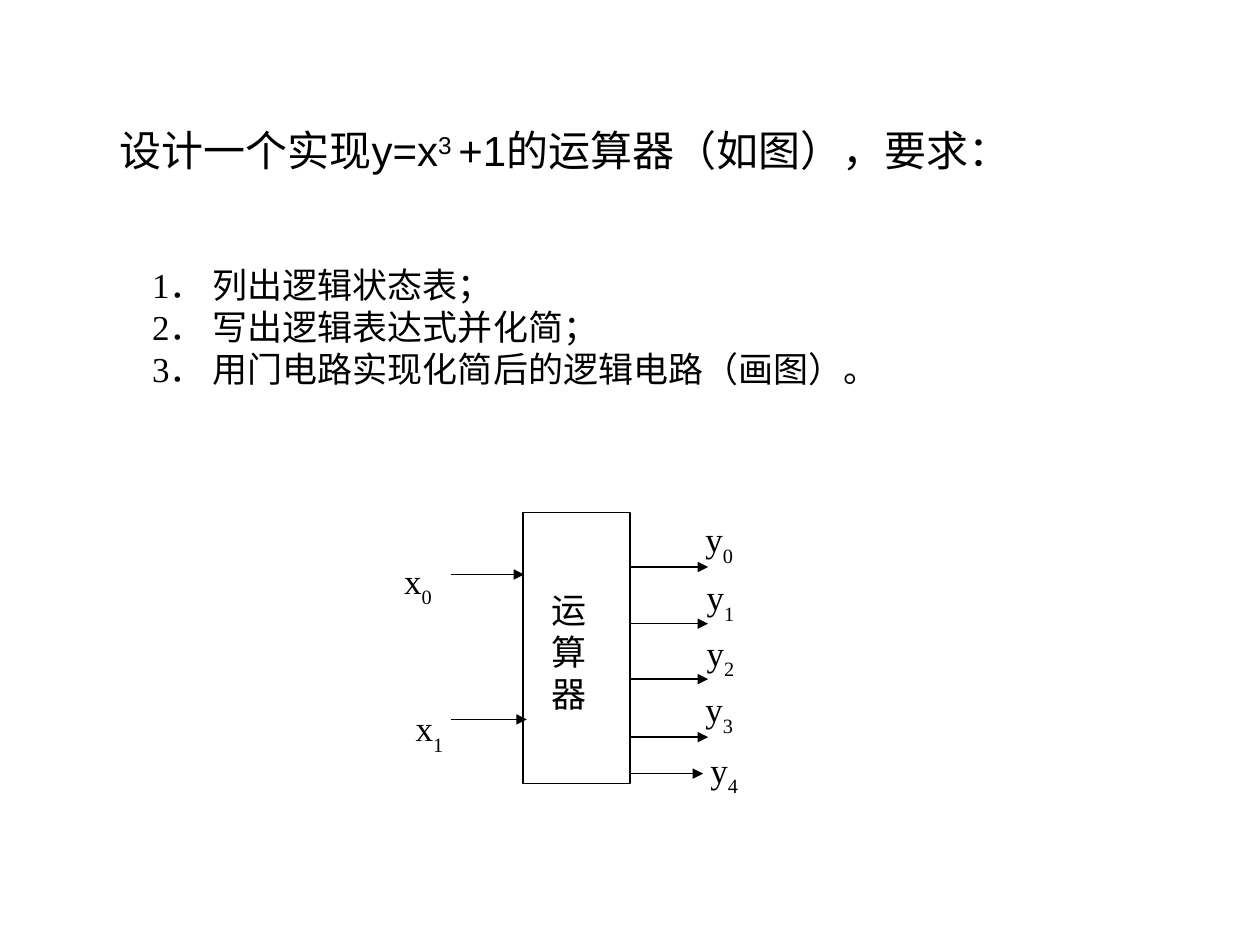
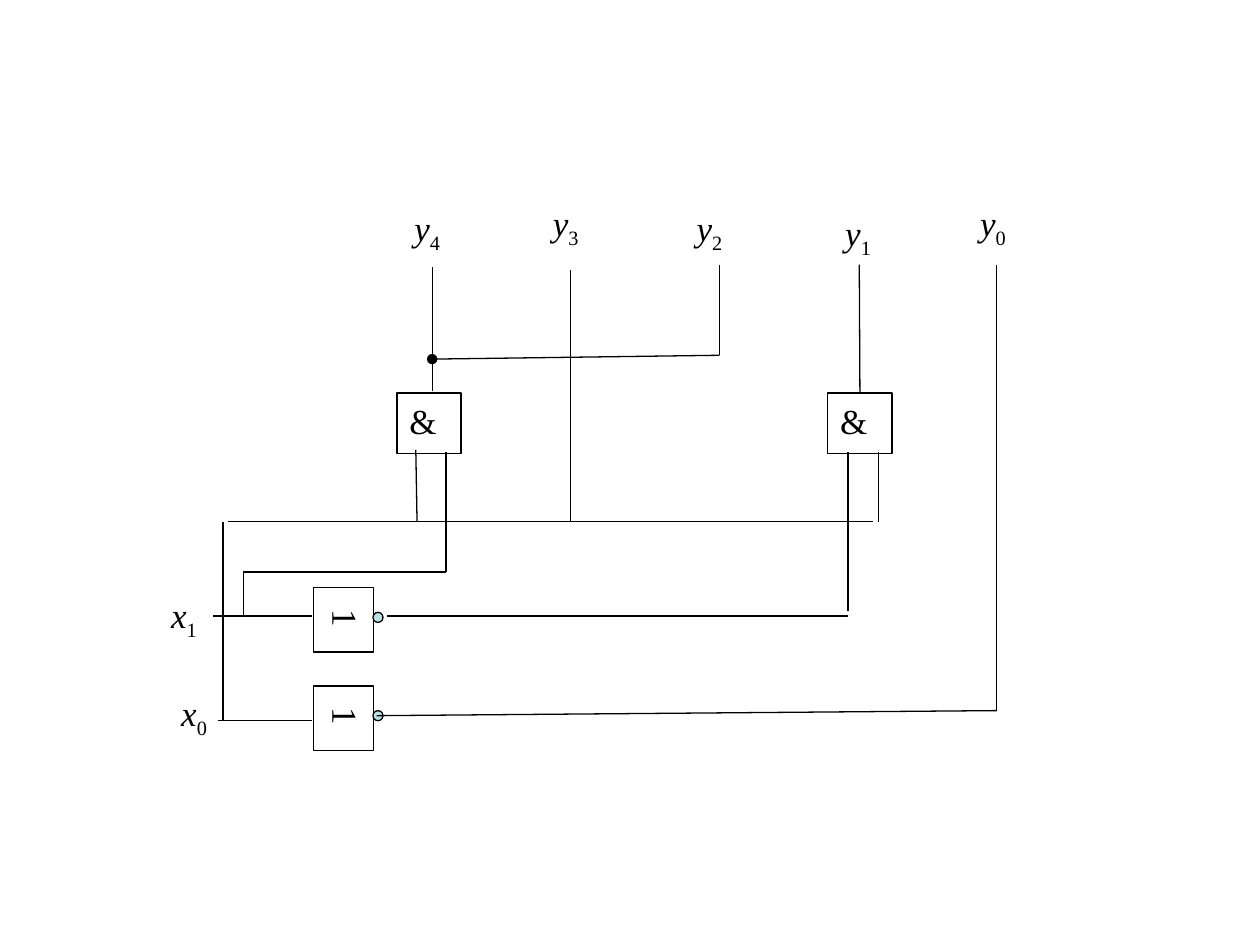
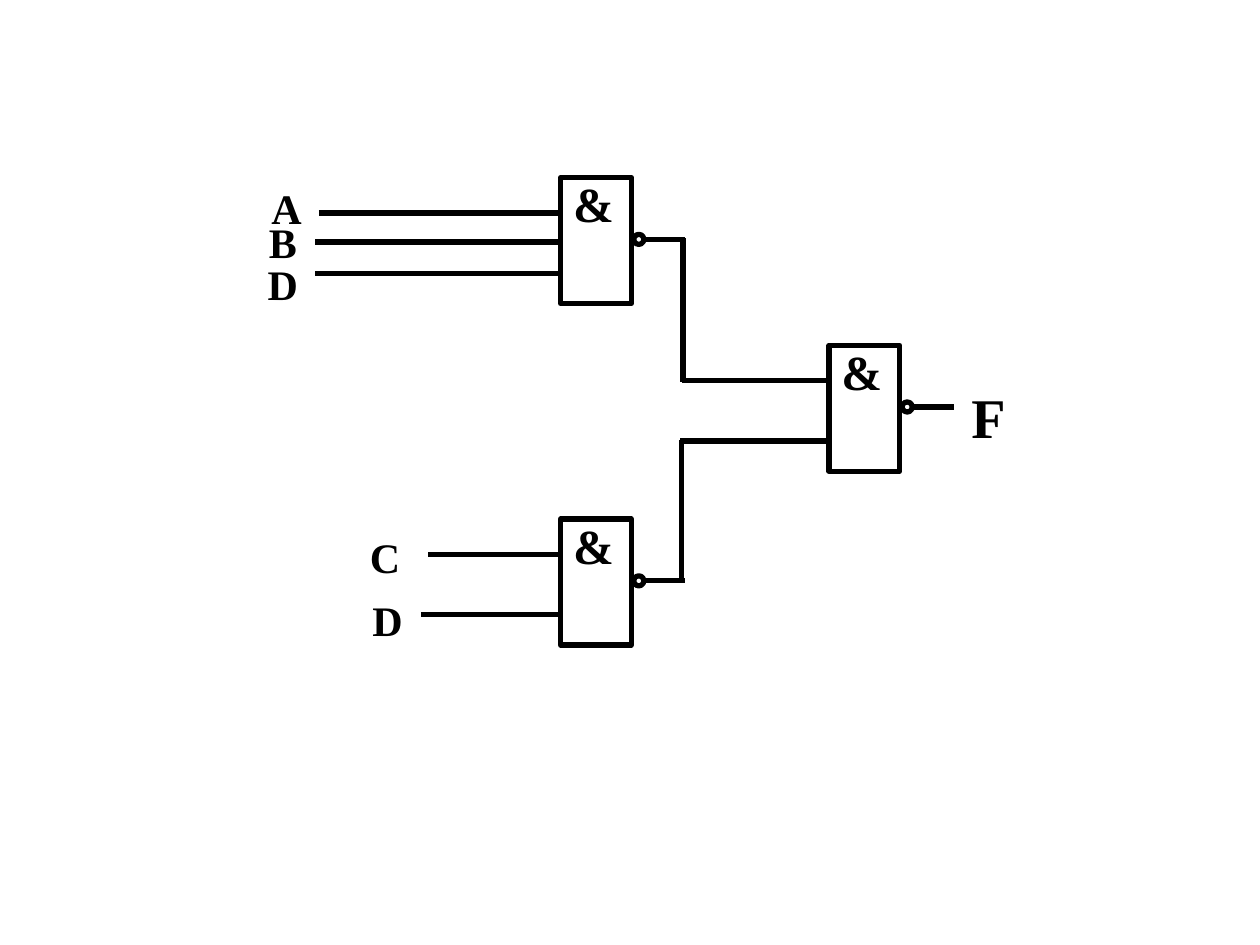
from dataclasses import dataclass

from lxml.etree import SubElement
from pptx import Presentation
from pptx.dml.color import RGBColor
from pptx.enum.shapes import MSO_CONNECTOR, MSO_SHAPE
from pptx.enum.text import MSO_ANCHOR, PP_ALIGN
from pptx.oxml.ns import qn
from pptx.util import Inches, Pt

BLACK = RGBColor(0x00, 0x00, 0x00)
WHITE = RGBColor(0xFF, 0xFF, 0xFF)
PALE_TEAL = RGBColor(0xBB, 0xE0, 0xE3)
SERIF = "Times New Roman"
SANS = "Arial"
THIN, THICK = 0.75, 3


@dataclass
class Region:
    """A part of a page whose contents are placed from its left top corner."""

    page: object
    left: float
    top: float

    def place(self, x, y):
        """Return the page position of a point of the region."""
        return Inches(self.left + x), Inches(self.top + y)

    def wire(self, start, end, weight=THIN, head=None, tail=None):
        """Draw a straight line with optional end marks."""
        line = self.page.shapes.add_connector(
            MSO_CONNECTOR.STRAIGHT, *self.place(*start), *self.place(*end))
        line.line.color.rgb = BLACK
        line.line.width = Pt(weight)
        outline = line.line._get_or_add_ln()
        for tag, mark in (("a:headEnd", head), ("a:tailEnd", tail)):
            if mark:
                SubElement(outline, qn(tag), type=mark)
        SubElement(line._element.spPr, qn("a:effectLst"))
        return line

    def block(self, kind, x, y, width, height, fill=None, weight=THIN):
        """Draw an outlined shape, hollow unless a fill is given."""
        shape = self.page.shapes.add_shape(
            kind, *self.place(x, y), Inches(width), Inches(height))
        shape.shadow.inherit = False
        if fill is None:
            shape.fill.background()
        else:
            shape.fill.solid()
            shape.fill.fore_color.rgb = fill
        shape.line.color.rgb = BLACK
        shape.line.width = Pt(weight)
        return shape

    def text(self, x, y, width, height, lines, **style):
        """Add a text box with one paragraph for each line."""
        box = self.page.shapes.add_textbox(
            *self.place(x, y), Inches(width), Inches(height))
        write(box.text_frame, lines, **style)
        return box

    def symbol(self, x, y, letter, index, italic=False, drop=-30):
        """Add a variable name with a subscript."""
        box = self.text(x, y, 0.7, 0.6, [""])
        add_spans(box.text_frame.paragraphs[0], [(letter, 0), (index, drop)])
        box.text_frame.paragraphs[0].runs[0].font.italic = italic


def write(frame, lines, size=20, font=SERIF, bold=False,
          align=PP_ALIGN.LEFT, anchor=MSO_ANCHOR.TOP):
    """Fill a text frame with evenly styled paragraphs."""
    frame.word_wrap = True
    frame.vertical_anchor = anchor
    frame.text = "\n".join(lines)
    for para in frame.paragraphs:
        para.alignment = align
        para.font.size = Pt(size)
        para.font.name = font
        para.font.bold = bold
        para.font.color.rgb = BLACK


def add_spans(para, parts):
    """Add runs, each with a baseline shift in percent."""
    for words, shift in parts:
        span = para.add_run()
        span.text = words
        if shift:
            span._r.get_or_add_rPr().set("baseline", str(shift * 1000))


def set_margins(frame, left, top):
    """Set the text margins of a block."""
    frame.margin_left, frame.margin_top = Inches(left), Inches(top)


def task_text(page, left, top):
    """Write the task and its three requirements."""
    region = Region(page, left, top)
    title = region.text(0, 0, 7.48, 0.5, [""], size=24, font=SANS,
                        anchor=MSO_ANCHOR.MIDDLE)
    add_spans(title.text_frame.paragraphs[0],
              [("设计一个实现y=x", 0), ("3 ", 30), ("+1的运算器（如图），要求：", 0)])
    region.text(0.26, 1.1, 6.2, 1.1, [
        "1． 列出逻辑状态表；",
        "2． 写出逻辑表达式并化简；",
        "3． 用门电路实现化简后的逻辑电路（画图）。",
    ], anchor=MSO_ANCHOR.MIDDLE)


def calculator_diagram(page, left, top):
    """Draw the calculator block with two inputs and five outputs."""
    region = Region(page, left, top)
    block = region.block(MSO_SHAPE.RECTANGLE, 1.15, 0.07, 0.85, 2.15, WHITE)
    write(block.text_frame, "运算器")
    set_margins(block.text_frame, 0.23, 0.6)
    inputs = [(0.56, 1.16, 0.11, 0.39), (1.71, 1.18, 0.2, 1.56)]
    for index, (y, end, label_x, label_y) in enumerate(inputs):
        region.wire((0.58, y), (end, y), tail="triangle")
        region.symbol(label_x, label_y, "x", str(index))
    outputs = [(0.5, 2.62, 2.5, 0.06), (0.95, 2.62, 2.51, 0.52),
               (1.39, 2.62, 2.51, 0.96), (1.85, 2.62, 2.5, 1.41),
               (2.14, 2.58, 2.54, 1.89)]
    for index, (y, end, label_x, label_y) in enumerate(outputs):
        region.wire((2, y), (end, y), tail="triangle")
        region.symbol(label_x, label_y, "y", str(index))


def small_gate(region, x, y, sign, margin=0.1, turn=0):
    """Draw a small gate with its sign inside."""
    gate = region.block(MSO_SHAPE.RECTANGLE, x, y, 0.51, 0.48, WHITE)
    gate.rotation = turn
    write(gate.text_frame, [sign])
    set_margins(gate.text_frame, margin, 0.05)
    return gate


def inverter(region, x, y):
    """Draw a turned inverter with its output bubble."""
    small_gate(region, x, y, "1", margin=0.17, turn=90)
    region.block(MSO_SHAPE.OVAL, x + 0.49, y + 0.18, 0.08, 0.08, PALE_TEAL)


def cube_circuit(page, left, top):
    """Draw the gate circuit from x1 and x0 up to y4 to y0."""
    region = Region(page, left, top)
    labels = [("x", "0", 0.34, 4.44), ("x", "1", 0.26, 3.66),
              ("y", "4", 2.19, 0.59), ("y", "3", 3.29, 0.55),
              ("y", "2", 4.43, 0.59), ("y", "1", 5.61, 0.63),
              ("y", "0", 6.68, 0.55)]
    for letter, index, x, y in labels:
        region.symbol(x, y, letter, index, italic=True, drop=-25)
    small_gate(region, 2.15, 2.12, "&")
    right_gate = small_gate(region, 5.57, 2.12, "&")
    for y in (3.68, 4.46):
        inverter(region, 1.47, y)

    region.wire((5.82, 1.1), (5.82, 2.12)).end_connect(right_gate, 0)
    region.wire((2.43, 1.85), (4.71, 1.82), head="oval")
    wires = [
        ((2.43, 1.12), (2.43, 2.1)), ((4.71, 1.82), (4.71, 1.1)),
        ((3.53, 1.14), (3.53, 3.14)), ((6.91, 4.64), (6.91, 1.1)),
        ((2.3, 2.57), (2.31, 3.14)), ((2.54, 3.54), (2.54, 2.59)),
        ((5.73, 3.85), (5.73, 2.59)), ((5.97, 2.59), (5.97, 3.14)),
        ((0.69, 3.89), (1.48, 3.89)), ((0.73, 4.72), (1.48, 4.72)),
        ((2.07, 3.89), (5.73, 3.89)), ((1.99, 4.68), (6.91, 4.64)),
        ((0.93, 3.89), (0.93, 3.54)), ((0.93, 3.54), (2.54, 3.54)),
        ((0.77, 4.72), (0.77, 3.14)), ((0.81, 3.14), (5.93, 3.14)),
    ]
    for start, end in wires:
        region.wire(start, end)


def nand_gate(region, x, y, inputs):
    """Draw a NAND gate with its output and the given input wires."""
    region.block(MSO_SHAPE.RECTANGLE, x, y, 0.56, 1, weight=THICK)
    region.text(x, y - 0.08, 0.67, 0.57, ["&"], size=28, bold=True)
    region.block(MSO_SHAPE.OVAL, x + 0.58, y + 0.45, 0.08, 0.08, weight=THICK)
    region.wire((x + 0.66, y + 0.49), (x + 0.99, y + 0.49), THICK)
    for start, drop in inputs:
        region.wire((start, y + drop), (x, y + drop), THICK)


def nand_circuit(page, left, top):
    """Draw the two-level NAND circuit with output F."""
    region = Region(page, left, top)
    nand_gate(region, 2.45, 0.41, [(0.53, 0.28), (0.5, 0.51), (0.5, 0.76)])
    nand_gate(region, 2.45, 3.12, [(1.4, 0.28), (1.34, 0.76)])
    nand_gate(region, 4.58, 1.74, [(3.41, 0.28), (3.4, 0.76)])
    region.wire((3.42, 0.89), (3.42, 2.03), THICK)
    region.wire((3.41, 2.49), (3.41, 3.63), THICK)
    letters = [("A", 0.03, 0.4, 24), ("B", 0, 0.67, 24), ("D", 0, 1, 24),
               ("C", 0.81, 3.17, 24), ("D", 0.83, 3.67, 24),
               ("F", 5.6, 1.97, 32)]
    for letter, x, y, size in letters:
        region.text(x, y, 0.49, size / 48, [letter], size=size, bold=True,
                    align=PP_ALIGN.CENTER, anchor=MSO_ANCHOR.MIDDLE)


def main():
    """Build the deck."""
    deck = Presentation()
    deck.slide_width, deck.slide_height = Inches(10), Inches(7.5)
    task, cube, nand = [deck.slides.add_slide(deck.slide_layouts[6])
                        for _ in range(3)]
    task_text(task, 0.85, 0.94)
    calculator_diagram(task, 3, 4)
    cube_circuit(cube, 1, 1)
    nand_circuit(nand, 2, 1)
    deck.save("out.pptx")


if __name__ == "__main__":
    main()
